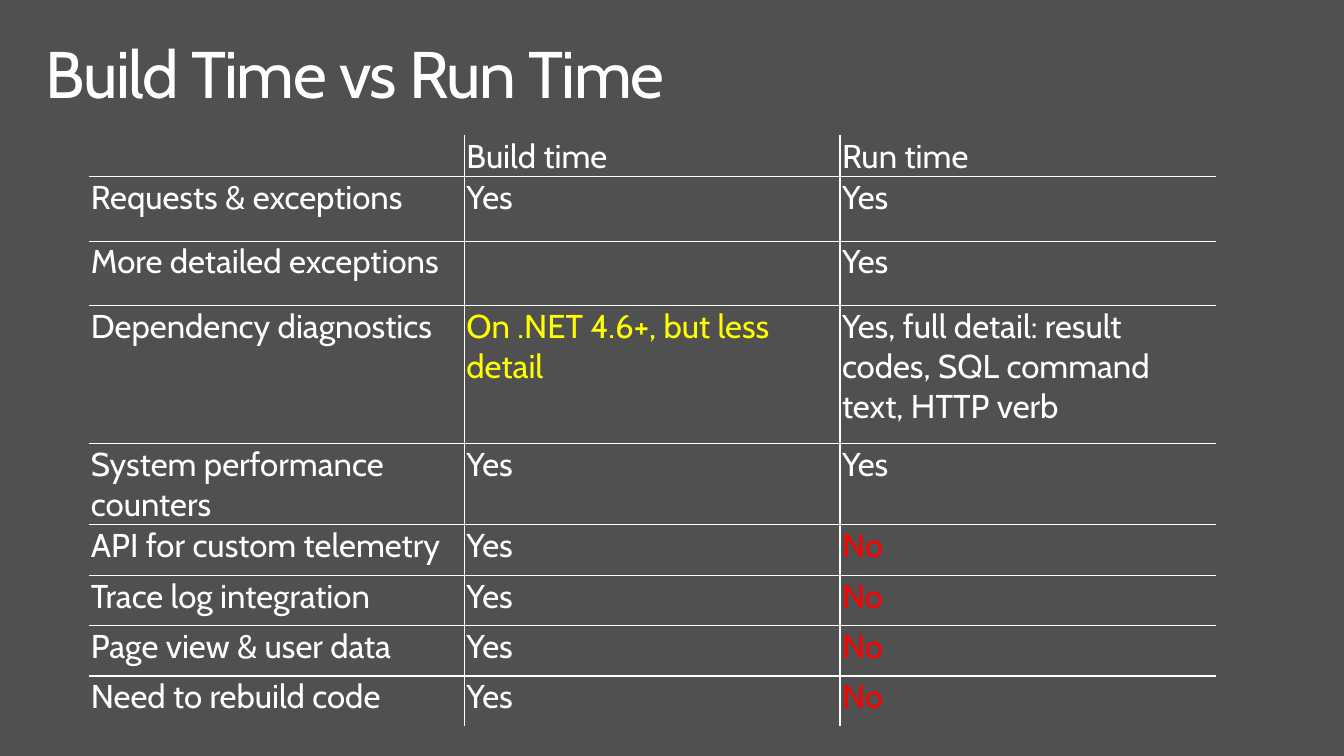
import pptx
import pptx.dml.color
import pptx.enum.text
import pptx.oxml
import pptx.oxml.ns
import pptx.util

Pt = pptx.util.Pt
ANCHOR = pptx.enum.text.MSO_ANCHOR
COLORS = {"background": "505050", "text": "FFFFFF", "partial": "FFFF00", "no": "FF0000"}
NO_TABLE_STYLE = "{2D5ABB26-0587-4C30-8999-92F81FD0307C}"

HEADINGS = ("", "Build time", "Run time")
FEATURES = [
    ("Requests & exceptions", "Yes", "Yes"),
    ("More detailed exceptions", "", "Yes"),
    ("Dependency diagnostics", "On .NET 4.6+, but less detail",
     "Yes, full detail: result codes, SQL command text, HTTP verb"),
    ("System performance counters", "Yes", "Yes"),
    ("API for custom telemetry", "Yes", "No"),
    ("Trace log integration", "Yes", "No"),
    ("Page view & user data", "Yes", "No"),
    ("Need to rebuild code", "Yes", "No"),
]
ROW_HEIGHTS = [26, 46.8, 46.8, 100.8, 46.8] + [36.72] * 4
COLUMN_WIDTH = 273.6


def rgb(name):
    return pptx.dml.color.RGBColor.from_string(COLORS[name])


def answer_color(text):
    if text == "No":
        return "no"
    return "partial" if text.endswith("less detail") else "text"


class SlideBuilder:
    font = "Cabin"

    def __init__(self, slide):
        self.slide = slide
        fill = slide.background.fill
        fill.solid()
        fill.fore_color.rgb = rgb("background")

    def run(self, paragraph, text, size, color="text"):
        run = paragraph.add_run()
        run.text = text
        run.font.name = self.font
        run.font.size = Pt(size)
        run.font.color.rgb = rgb(color)
        return run

    def title(self, text, left, top, width, height):
        box = self.slide.shapes.add_textbox(Pt(left), Pt(top), Pt(width), Pt(height))
        frame = box.text_frame
        frame.word_wrap = True
        frame.margin_left = frame.margin_right = Pt(11.5)
        frame.margin_top = frame.margin_bottom = Pt(7.2)
        paragraph = frame.paragraphs[0]
        paragraph.line_spacing = 0.9
        run = self.run(paragraph, text, 48)
        run.font._element.set("spc", "-100")

    def inner_borders(self, cell, sides):
        """Draw thin lines on the named sides, in the order L, R, T, B."""
        properties = cell._tc.get_or_add_tcPr()
        for index, side in enumerate(sides):
            line = pptx.oxml.parse_xml(
                f'<a:ln{side} {pptx.oxml.ns.nsdecls("a")} w="{Pt(1)}"><a:solidFill>'
                f'<a:srgbClr val="{COLORS["text"]}"/></a:solidFill></a:ln{side}>')
            properties.insert(index, line)

    def table(self, rows, left, top, column_width, row_heights):
        columns = len(rows[0])
        frame = self.slide.shapes.add_table(
            len(rows), columns, Pt(left), Pt(top),
            Pt(column_width * columns), Pt(sum(row_heights)))
        table = frame.table
        table.first_row = table.horz_banding = False
        table._tbl.tblPr.find(pptx.oxml.ns.qn("a:tableStyleId")).text = NO_TABLE_STYLE
        for column in table.columns:
            column.width = Pt(column_width)
        for r, (texts, height) in enumerate(zip(rows, row_heights)):
            table.rows[r].height = Pt(height)
            for c, text in enumerate(texts):
                cell = table.cell(r, c)
                cell.fill.background()
                cell.margin_left = cell.margin_right = Pt(1.5)
                cell.margin_top = cell.margin_bottom = Pt(0.75)
                cell.vertical_anchor = ANCHOR.TOP if r else ANCHOR.BOTTOM
                if text:
                    self.run(cell.text_frame.paragraphs[0], text, 24, answer_color(text))
                inside = {"L": c > 0, "R": c < columns - 1,
                          "T": r > 0, "B": r < len(rows) - 1}
                self.inner_borders(cell, [side for side, drawn in inside.items() if drawn])


def main():
    deck = pptx.Presentation()
    deck.slide_width, deck.slide_height = Pt(979.2), Pt(550.8)
    builder = SlideBuilder(deck.slides.add_slide(deck.slide_layouts[6]))
    builder.title("Build Time vs Run Time", 21.6, 23, 936, 72)
    builder.table([HEADINGS, *FEATURES], 64.8, 98.6, COLUMN_WIDTH, ROW_HEIGHTS)
    deck.save("out.pptx")


if __name__ == "__main__":
    main()
